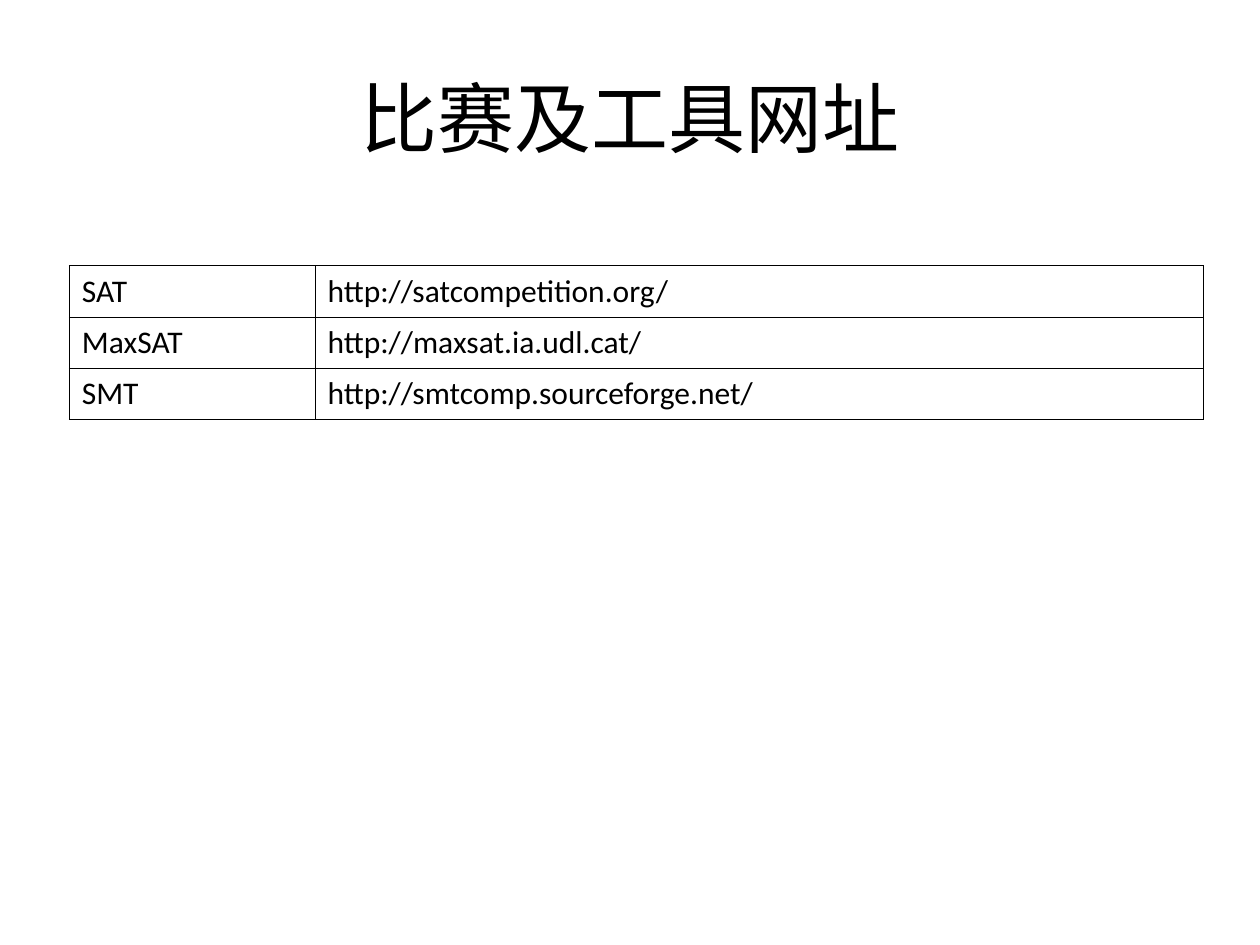
from typing import NamedTuple

import lxml.etree
import pptx
import pptx.dml.color
import pptx.enum.text
import pptx.oxml.ns
import pptx.util

WIDTH, HEIGHT = pptx.util.Inches(10), pptx.util.Inches(7.5)
BLACK = "000000"
BORDER_PT = 0.45
COLUMN_SHARES = (0.195, 0.705)
ROW_SHARE = 0.0542
TITLE_FORMAT = {"name": "Calibri", "size": pptx.util.Pt(44), "bold": False}
CELL_FORMAT = {"name": "Calibri", "size": pptx.util.Pt(18), "bold": False}


class Box(NamedTuple):
    """A frame given as shares of the slide's width and height."""
    left: float
    top: float
    width: float
    height: float

    def emu(self) -> tuple:
        return (int(self.left * WIDTH), int(self.top * HEIGHT),
                int(self.width * WIDTH), int(self.height * HEIGHT))


class Site(NamedTuple):
    contest: str
    url: str


SITES = [
    Site("SAT", "http://satcompetition.org/"),
    Site("MaxSAT", "http://maxsat.ia.udl.cat/"),
    Site("SMT", "http://smtcomp.sourceforge.net/"),
]
TITLE_BOX = Box(0.05, 0.04, 0.9, 0.1667)
TABLE_BOX = Box(0.055, 0.2813, sum(COLUMN_SHARES), ROW_SHARE * len(SITES))


def color(value: str) -> pptx.dml.color.RGBColor:
    return pptx.dml.color.RGBColor.from_string(value)


def write(tf, text: str, align, font_format: dict) -> None:
    p = tf.paragraphs[0]
    p.alignment = align
    r = p.add_run()
    r.text = text
    for name, value in font_format.items():
        setattr(r.font, name, value)
    r.font.color.rgb = color(BLACK)


def add_borders(cell, line_color: str, width: float) -> None:
    tc_pr = cell._tc.get_or_add_tcPr()
    qn = pptx.oxml.ns.qn
    for i, side in enumerate(("a:lnL", "a:lnR", "a:lnT", "a:lnB")):
        ln = lxml.etree.Element(qn(side), w=str(int(pptx.util.Pt(width))))
        fill = lxml.etree.SubElement(ln, qn("a:solidFill"))
        lxml.etree.SubElement(fill, qn("a:srgbClr"), val=line_color)
        tc_pr.insert(i, ln)


def add_title(s, text: str) -> None:
    sp = s.shapes.title
    sp.left, sp.top, sp.width, sp.height = TITLE_BOX.emu()
    sp.text_frame.vertical_anchor = pptx.enum.text.MSO_ANCHOR.MIDDLE
    write(sp.text_frame, text, pptx.enum.text.PP_ALIGN.CENTER, TITLE_FORMAT)


def add_site_table(s, sites: list[Site]) -> None:
    table = s.shapes.add_table(len(sites), len(COLUMN_SHARES), *TABLE_BOX.emu()).table
    table.first_row = table.horz_banding = False
    for column, share in zip(table.columns, COLUMN_SHARES):
        column.width = int(share * WIDTH)
    for row, site in zip(table.rows, sites):
        for cell, text in zip(row.cells, site):
            cell.fill.background()
            add_borders(cell, BLACK, BORDER_PT)
            write(cell.text_frame, text, pptx.enum.text.PP_ALIGN.LEFT, CELL_FORMAT)


def main() -> None:
    prs = pptx.Presentation()
    prs.slide_width, prs.slide_height = WIDTH, HEIGHT
    s = prs.slides.add_slide(prs.slide_layouts[5])
    add_title(s, "比赛及工具网址")
    add_site_table(s, SITES)
    prs.save("out.pptx")


if __name__ == "__main__":
    main()
